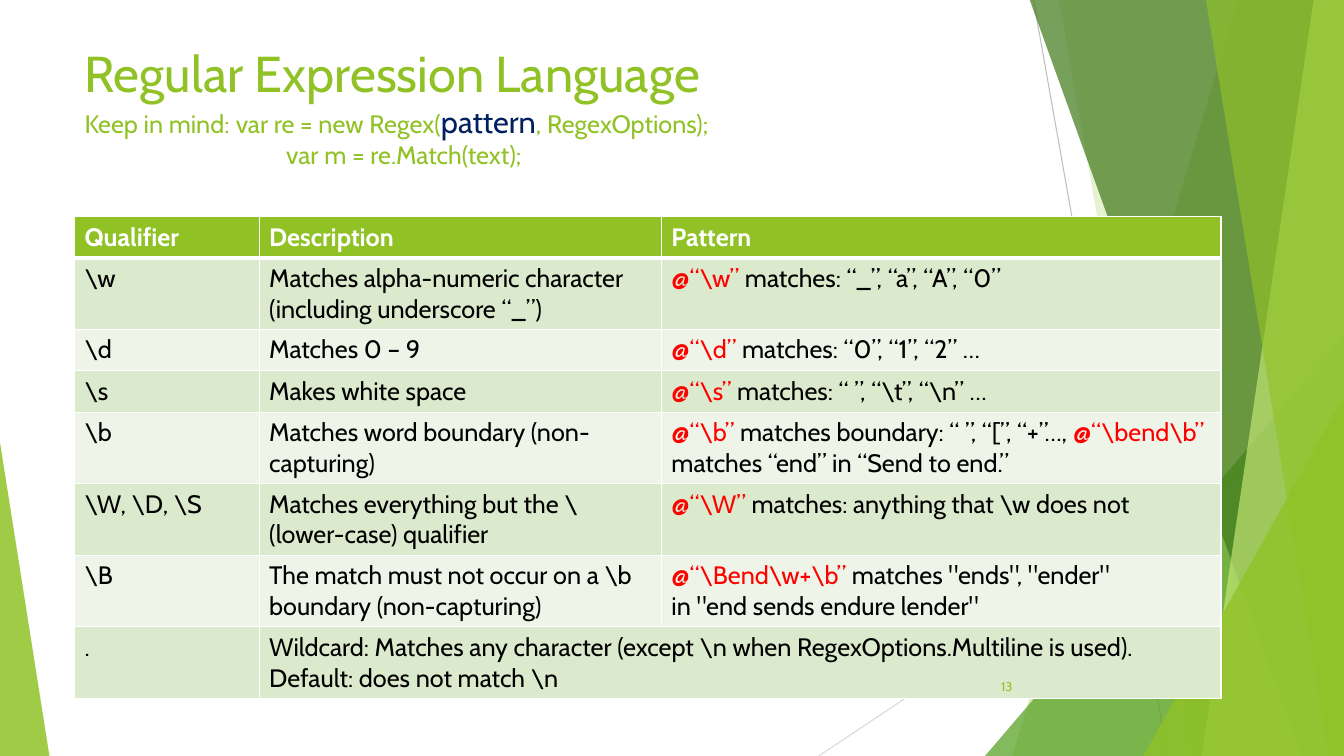
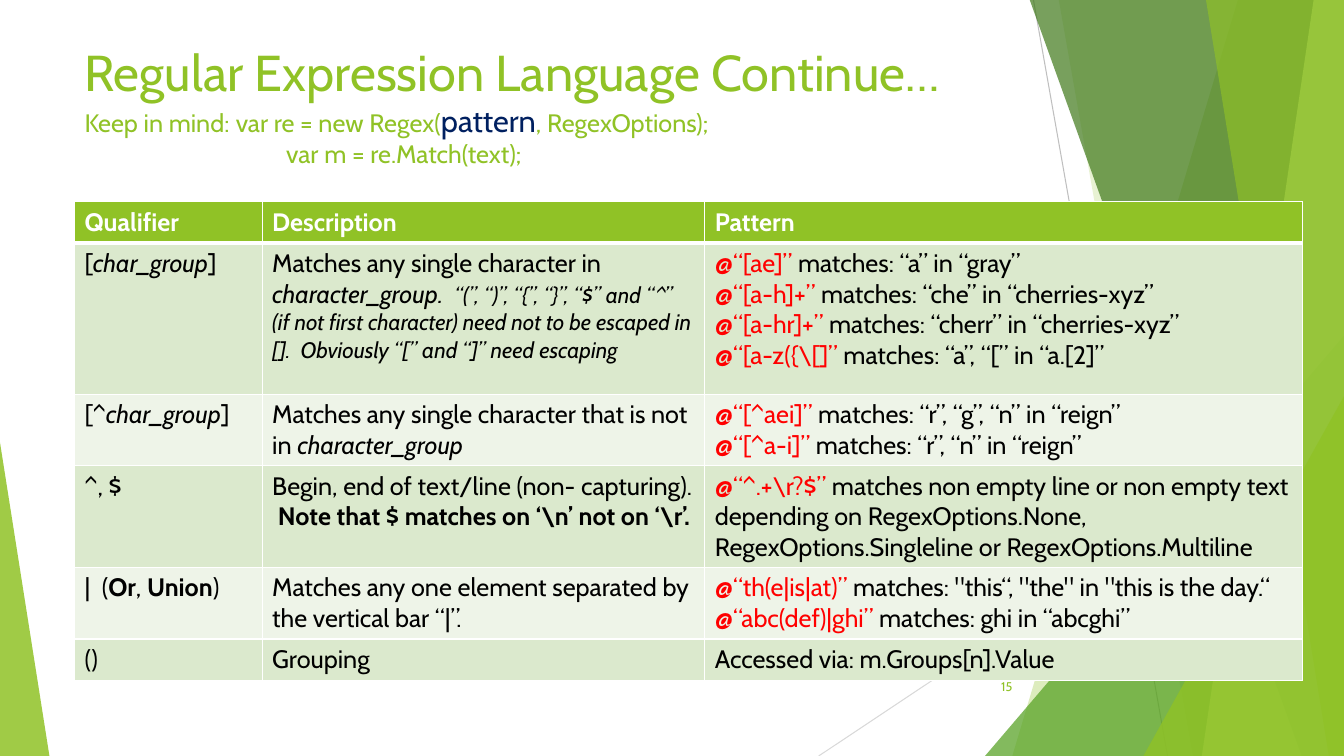
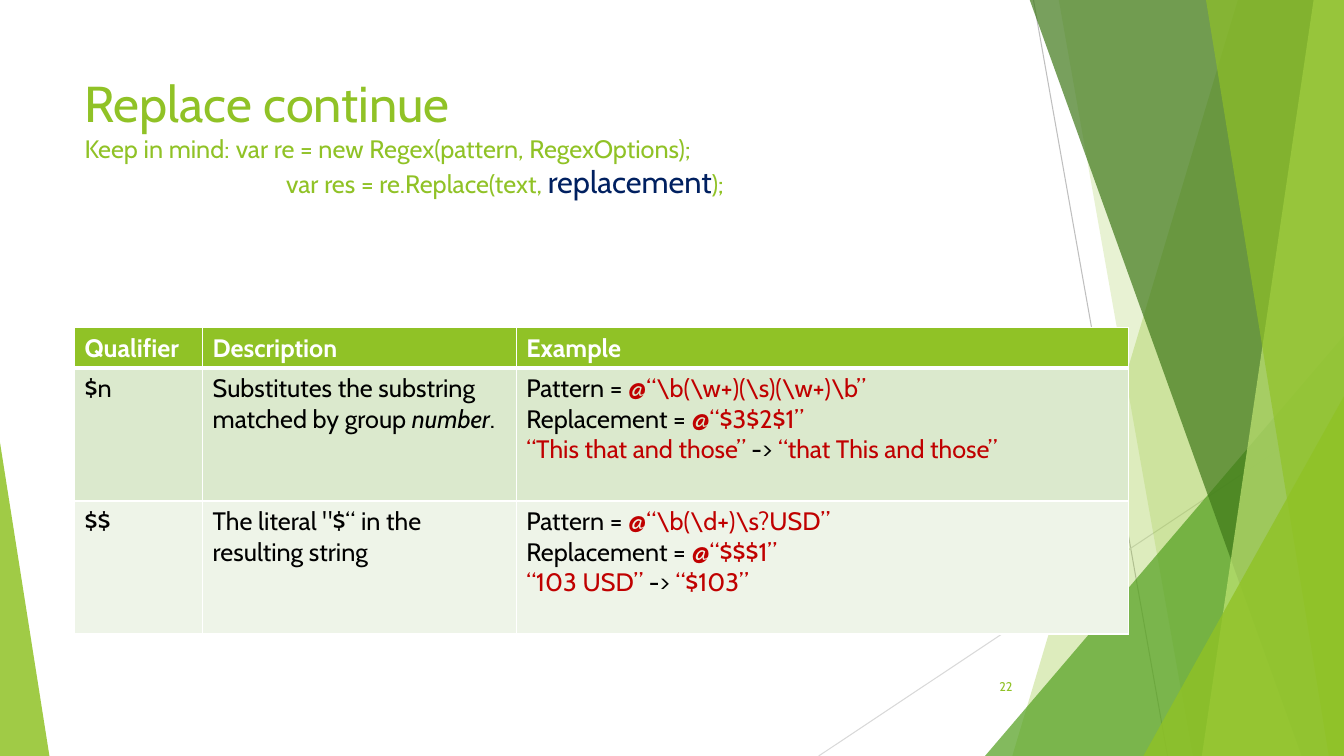
from dataclasses import dataclass

from lxml.etree import SubElement
from pptx import Presentation
from pptx.dml.color import RGBColor
from pptx.enum.shapes import MSO_CONNECTOR, MSO_SHAPE
from pptx.enum.text import MSO_ANCHOR, PP_ALIGN
from pptx.oxml import parse_xml
from pptx.oxml.ns import nsdecls, qn
from pptx.util import Inches, Pt


@dataclass(frozen=True)
class Theme:
    font: str = "Cabin"
    green: str = "90C226"
    leaf: str = "54A021"
    forest: str = "3F7819"
    lime: str = "C0E474"
    navy: str = "002060"
    red: str = "FF0000"
    crimson: str = "C00000"
    black: str = "000000"
    white: str = "FFFFFF"
    stripes: tuple = ("EEF4E8", "DBE9CD")
    title_size: int = 36
    focus_size: int = 22
    body_size: int = 18
    note_size: int = 16
    page_size: int = 9


THEME = Theme()
WIDTH, HEIGHT = 13.33, 7.5
LEFT = 0.74
BODY = {"name": THEME.font, "size": Pt(THEME.body_size), "color": THEME.black}
HEADER = {**BODY, "color": THEME.white, "bold": True}
TITLE = {**BODY, "color": THEME.green}
PAGE = {**TITLE, "size": Pt(THEME.page_size)}


# Pieces of formatted text
def red(text):
    return text, {"color": THEME.red}


def crimson(text):
    return text, {"color": THEME.crimson}


def italic(text):
    return text, {"italic": True}


def bold(text):
    return text, {"bold": True}


def note(text):
    return text, {"italic": True, "size": Pt(THEME.note_size)}


def heading(text):
    return text, {"size": Pt(THEME.title_size)}


def focus(text):
    return text, {"size": Pt(THEME.focus_size), "color": THEME.navy}


def write(frame, content, base):
    """Write a string or a list of pieces; a newline starts a paragraph."""
    paragraph = frame.paragraphs[0]
    for piece in [content] if isinstance(content, str) else content:
        text, extra = (piece, {}) if isinstance(piece, str) else piece
        for number, line in enumerate(text.split("\n")):
            if number:
                paragraph = frame.add_paragraph()
            if line:
                run = paragraph.add_run()
                run.text = line
                values = {**base, **extra}
                run.font.color.rgb = RGBColor.from_string(values.pop("color"))
                for name, value in values.items():
                    setattr(run.font, name, value)


# Backdrop
def paint(shape, color, opacity):
    shape.shadow.inherit = False
    shape.line.fill.background()
    shape.fill.solid()
    shape.fill.fore_color.rgb = RGBColor.from_string(color)
    tint = shape._element.xpath("./p:spPr/a:solidFill/a:srgbClr")[0]
    SubElement(tint, qn("a:alpha"), val=str(opacity * 1000))


def add_band(slide, top_left, bottom_left, color, opacity):
    """Fill from a slanted left edge to the right side of the slide."""
    top = -0.01
    corners = [(WIDTH, top), (WIDTH, HEIGHT), (bottom_left, HEIGHT)]
    outline = slide.shapes.build_freeform(Inches(top_left), Inches(top))
    outline.add_line_segments([(Inches(x), Inches(y)) for x, y in corners])
    paint(outline.convert_to_shape(), color, opacity)


def add_wedge(slide, left, top, width, apex, color, opacity):
    wedge = slide.shapes.add_shape(
        MSO_SHAPE.ISOSCELES_TRIANGLE, Inches(left), Inches(top),
        Inches(width), Inches(HEIGHT - top))
    wedge.adjustments[0] = apex
    paint(wedge, color, opacity)


def add_hairline(slide, start, end, color):
    hairline = slide.shapes.add_connector(
        MSO_CONNECTOR.STRAIGHT, *(Inches(v) for v in start + end))
    hairline.line.color.rgb = RGBColor.from_string(color)
    hairline.line.width = Pt(0.75)
    SubElement(hairline._element.spPr, qn("a:effectLst"))


def add_backdrop(slide):
    add_hairline(slide, (10.25, 0), (11.58, HEIGHT), "BFBFBF")
    add_hairline(slide, (WIDTH, 4.03), (8.12, HEIGHT), "D9D9D9")
    add_band(slide, 12.28, 10.04, THEME.green, 30)
    add_band(slide, 10.5, 11.83, THEME.green, 20)
    add_wedge(slide, 9.77, 3.33, 3.56, 1, THEME.leaf, 72)
    add_band(slide, 10.21, 12.91, THEME.forest, 70)
    add_band(slide, 13.03, 11.92, THEME.lime, 70)
    add_band(slide, 11.96, 13.18, THEME.green, 65)
    add_wedge(slide, 11.34, 3.93, 1.99, 1, THEME.green, 80)
    add_wedge(slide, 0, 4.39, 0.49, 0, THEME.green, 85)


# Title, page number and table
def add_text(slide, box, content, base):
    frame = slide.shapes.add_textbox(*(Inches(v) for v in box)).text_frame
    frame.word_wrap = True
    write(frame, content, base)
    return frame


def add_title(slide, top, height, pieces):
    """Title, reminder with a tab, and an indented second line of code."""
    frame = add_text(slide, (LEFT, top, 9.4, height), pieces, TITLE)
    _, reminder, second_line = frame.paragraphs
    tabs = SubElement(reminder._p.get_or_add_pPr(), qn("a:tabLst"))
    SubElement(tabs, qn("a:tab"), pos=str(Inches(1.5)), algn="l")
    second_line._p.get_or_add_pPr().set("marL", str(Inches(2)))


def add_page_number(slide, number):
    frame = add_text(slide, (9.39, 6.61, 0.75, 0.4), str(number), PAGE)
    frame.vertical_anchor = MSO_ANCHOR.MIDDLE
    frame.paragraphs[0].alignment = PP_ALIGN.RIGHT


def set_borders(cell, top, bottom):
    properties = cell._tc.get_or_add_tcPr()
    widths = {"L": 1, "R": 1, "T": top, "B": bottom}
    for place, (side, width) in enumerate(widths.items()):
        properties.insert(place, parse_xml(
            f'<a:ln{side} {nsdecls("a")} w="{Pt(width)}"><a:solidFill>'
            f'<a:srgbClr val="{THEME.white}"/></a:solidFill></a:ln{side}>'))


def add_reference(slide, top, widths, heights, rows):
    """Table with a green header; a short row spans its last cell."""
    table = slide.shapes.add_table(
        len(rows), len(widths), Inches(LEFT), Inches(top),
        Inches(sum(widths)), Inches(sum(heights))).table
    table.horz_banding = False
    for column, width in zip(table.columns, widths):
        column.width = Inches(width)
    for r, (row, height) in enumerate(zip(rows, heights)):
        table.rows[r].height = Inches(height)
        fill = THEME.stripes[r % 2] if r else THEME.green
        for c in range(len(widths)):
            cell = table.cell(r, c)
            cell.fill.solid()
            cell.fill.fore_color.rgb = RGBColor.from_string(fill)
            set_borders(cell, 3 if r == 1 else 1, 1 if r else 3)
            if c < len(row):
                write(cell.text_frame, row[c], BODY if r else HEADER)
        if len(row) < len(widths):
            table.cell(r, len(row) - 1).merge(table.cell(r, len(widths) - 1))


# Content
MATCH_REMINDER = [
    "Keep in mind:\tvar re = new Regex(", focus("pattern"),
    ", RegexOptions);\nvar m = re.Match(text);"]
REPLACE_REMINDER = [
    "Keep in mind:\tvar re = new Regex(pattern, RegexOptions);\n"
    "var res = re.Replace(text, ", focus("replacement"), ");"]

CHARACTER_CLASSES = [
    ["Qualifier", "Description", "Pattern"],
    [r"\w", "Matches alpha-numeric character (including underscore “_”)",
     [red(r"@“\w”"), " matches: “_”, “a”, “A”, “0”"]],
    [r"\d", "Matches 0 – 9",
     [red(r"@“\d”"), " matches: “0”, “1”, “2” …"]],
    [r"\s", "Makes white space",
     [red(r"@“\s”"), r" matches: “ ”, “\t”, “\n” …"]],
    [r"\b", "Matches word boundary (non-capturing)",
     [red(r"@“\b”"), " matches boundary: “ ”, “[”, “+”…, ",
      red(r"@“\bend\b”"), " matches “end” in “Send to end.”"]],
    [r"\W, \D, \S", r"Matches everything but the \(lower-case) qualifier",
     [red(r"@“\W”"), r" matches: anything that \w does not"]],
    [r"\B", r"The match must not occur on a \b boundary (non-capturing)",
     [red(r"@“\Bend\w+\b” "),
      'matches "ends", "ender"\nin "end sends endure lender"']],
    [".", r"Wildcard: Matches any character (except \n when "
          r"RegexOptions.Multiline is used).  Default: does not match \n"],
]

GROUPS = [
    ["Qualifier", "Description", "Pattern"],
    [["[", italic("char_group"), "]"],
     ["Matches any single character in ", italic("character_group.  "),
      note("“(”, “)”, “{”, “}”, “$” and “^” (if not first character) need "
           "not to be escaped in [].  Obviously “[” and “]” need escaping")],
     [red("@“[ae]”"), " matches: “a” in “gray”\n",
      red("@“[a-h]+” "), "matches: “che” in “cherries-xyz”\n",
      red("@“[a-hr]+” "), "matches: “cherr” in “cherries-xyz”\n",
      red(r"@“[a-z({\[]”"), " matches: “a”, “[” in “a.[2]”"]],
    [["[^", italic("char_group"), "]"],
     ["Matches any single character that is not in ",
      italic("character_group")],
     [red("@“[^aei]” "), "matches: “r”, “g”, “n” in “reign”\n",
      red("@“[^a-i]”"), " matches: “r”, “n” in “reign”"]],
    ["^, $",
     ["Begin, end of text/line (non- capturing).  ",
      bold(r"Note that $ matches on ‘\n’ not on ‘\r’.")],
     [red(r"@“^.+\r?$”"),
      " matches non empty line or non empty text depending on "
      "RegexOptions.None, RegexOptions.Singleline or "
      "RegexOptions.Multiline"]],
    [["|  (", bold("Or"), ", ", bold("Union"), ")"],
     "Matches any one element separated by the vertical bar “|”.",
     [red("@“th(e|is|at)”"),
      ' matches: "this“, "the" in "this is the day.“\n',
      red("@“abc(def)|ghi”"), " matches: ghi in “abcghi”"]],
    ["()", "Grouping", "Accessed via: m.Groups[n].Value"],
]

SUBSTITUTIONS = [
    ["Qualifier", "Description", "Example"],
    ["$n",
     ["Substitutes the substring matched by group ", italic("number"), "."],
     ["Pattern = ", crimson(r"@“\b(\w+)(\s)(\w+)\b”"),
      "\nReplacement = ", crimson("@“$3$2$1”\n“This that and those”"),
      " -> ", crimson("“that This and those”")]],
    ["$$", 'The literal "$“ in the resulting string',
     ["Pattern = ", crimson(r"@“\b(\d+)\s?USD”"),
      "\nReplacement = ", crimson("@“$$$1”\n“103 USD”"),
      " -> ", crimson("“$103”")]],
]

# Title text, reminder, title top and height, page, then the table's
# top, column widths, row heights and rows
SLIDES = [
    ("Regular Expression Language", MATCH_REMINDER, 0.37, 1.38, 13,
     (2.15, [1.83, 3.99, 5.55],
      [0.41, 0.71, 0.41, 0.41, 0.71, 0.71, 0.71, 0.71], CHARACTER_CLASSES)),
    ("Regular Expression Language Continue…", MATCH_REMINDER, 0.36, 1.43, 15,
     (2, [1.86, 4.39, 5.93],
      [0.41, 1.5, 0.71, 1.01, 0.71, 0.41], GROUPS)),
    ("Replace continue", REPLACE_REMINDER, 0.67, 1.44, 22,
     (3.25, [1.27, 3.11, 6.07], [0.4, 1.32, 1.32], SUBSTITUTIONS)),
]


def main():
    deck = Presentation()
    deck.slide_width, deck.slide_height = Inches(WIDTH), Inches(HEIGHT)
    blank = deck.slide_layouts[6]
    for title, reminder, top, height, page, reference in SLIDES:
        slide = deck.slides.add_slide(blank)
        add_backdrop(slide)
        add_title(slide, top, height, [heading(title + "\n"), *reminder])
        add_reference(slide, *reference)
        add_page_number(slide, page)
    deck.save("out.pptx")


if __name__ == "__main__":
    main()
